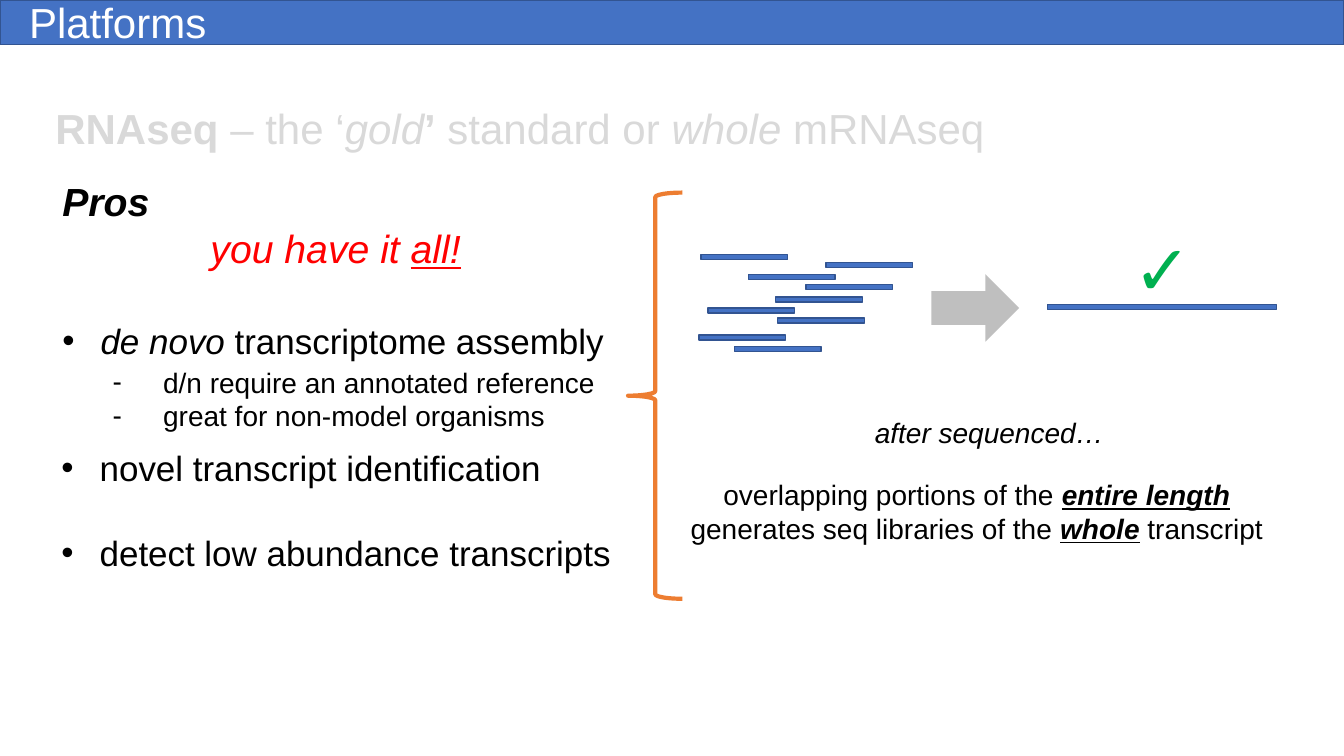
from lxml.etree import SubElement
from pptx import Presentation
from pptx.dml.color import RGBColor
from pptx.enum.shapes import MSO_SHAPE
from pptx.enum.text import MSO_AUTO_SIZE, PP_ALIGN
from pptx.oxml.ns import qn
from pptx.util import Inches, Pt

THEME = {
    "font": "Arial",
    "blue": "4472C4", "blue_edge": "325491", "orange": "ED7D31",
    "arrow": "BFBFBF", "faded": "D9D9D9", "white": "FFFFFF",
    "black": "000000", "red": "FF0000", "green": "00B050",
    "title": 30, "lead": 28, "point": 25, "detail": 20, "check": 50,
}

deck = Presentation()
deck.slide_width, deck.slide_height = Inches(13.333), Inches(7.5)
page = deck.slides.add_slide(deck.slide_layouts[6])
COLUMN, ROW = deck.slide_width / 100, deck.slide_height / 100


def add_figure(kind, left, top, width, height, fill=None, line=None, weight=1):
    """Draw a preset shape placed in hundredths of the slide."""
    figure = page.shapes.add_shape(kind, int(left * COLUMN), int(top * ROW),
                                   int(width * COLUMN), int(height * ROW))
    figure.shadow.inherit = False
    if fill:
        figure.fill.solid()
        figure.fill.fore_color.rgb = RGBColor.from_string(THEME[fill])
    else:
        figure.fill.background()
    if line:
        figure.line.color.rgb = RGBColor.from_string(THEME[line])
        figure.line.width = Pt(weight)
    else:
        figure.line.fill.background()
    return figure


def add_text(left, top, width, height, paragraphs, wrap=True):
    """Place paragraphs of (size, colour, spans, options); a span is (text, b/i/u flags)."""
    box = page.shapes.add_textbox(int(left * COLUMN), int(top * ROW),
                                  int(width * COLUMN), int(height * ROW))
    frame = box.text_frame
    frame.word_wrap = wrap
    frame.auto_size = MSO_AUTO_SIZE.SHAPE_TO_FIT_TEXT
    for number, (size, colour, spans, options) in enumerate(paragraphs):
        para = frame.add_paragraph() if number else frame.paragraphs[0]
        if "align" in options:
            para.alignment = options["align"]
        if "before" in options:
            para.space_before = Pt(options["before"])
        if "bullet" in options:
            mark, margin, hanging, para.level = options["bullet"]
            properties = para._p.get_or_add_pPr()
            properties.set("marL", str(Inches(margin)))
            properties.set("indent", str(-Inches(hanging)))
            SubElement(properties, qn("a:buFont"), typeface=THEME["font"])
            SubElement(properties, qn("a:buChar"), char=mark)
        para.font.name = THEME["font"]
        para.font.size = Pt(THEME[size])
        para.font.color.rgb = RGBColor.from_string(THEME[colour])
        for text, flags in spans:
            span = para.add_run()
            span.text = text
            if "b" in flags:
                span.font.bold = True
            if "i" in flags:
                span.font.italic = True
            if "u" in flags:
                span.font.underline = True


CENTRE = {"align": PP_ALIGN.CENTER}
POINT = {"bullet": ("•", 0.38, 0.38, 0)}
DETAIL = {"bullet": ("-", 1, 0.5, 1)}

# Heading
add_text(3.38, 12.93, 79.58, 8.13, [
    ("title", "faded", [("RNAseq ", "b"), ("– the ‘", ""), ("gold", "i"), ("’", "b"),
                        (" standard or ", ""), ("whole ", "i"), ("mRNAseq", "")], {}),
])

# Overlapping reads assembled into one transcript
add_figure(MSO_SHAPE.RIGHT_ARROW, 69.3, 36.27, 6.53, 8.93, "arrow")
READ_WIDTH, STRAND_HEIGHT = 6.45, 0.67
reads = [(52.01, 44.33), (57.86, 42.07), (54.64, 45.8), (52.69, 40.73), (57.71, 39.27),
         (59.96, 37.67), (55.69, 36.33), (61.46, 34.73), (52.16, 33.67)]
strands = [(left, top, READ_WIDTH) for left, top in reads] + [(77.93, 40.27, 17.03)]
for left, top, width in strands:
    add_figure(MSO_SHAPE.RECTANGLE, left, top, width, STRAND_HEIGHT, "blue", "blue_edge")
add_text(83.63, 29.2, 5.48, 12.53, [("check", "green", [("✓", "b")], {})], wrap=False)

brace = add_figure(MSO_SHAPE.RIGHT_BRACE, 46.73, 25.47, 4.05, 53.73, line="orange", weight=3)
brace.rotation = 180

# Advantages
add_text(3.9, 22.8, 42.15, 34.8, [
    ("lead", "black", [("Pros", "bi")], {}),
    ("lead", "red", [("you have it ", "i"), ("all!", "iu")], CENTRE),
    ("point", "black", [("de novo ", "i"), ("transcriptome assembly", "")],
     {**POINT, "before": 34}),
    ("detail", "black", [("d/n require an annotated reference", "")], {**DETAIL, "before": 3}),
    ("detail", "black", [("great for non-model organisms", "")], DETAIL),
])
add_text(3.83, 58.4, 43.73, 18.13, [
    ("point", "black", [("novel transcript identification", "")], POINT),
    ("point", "black", [("detect low abundance transcripts", "")], {**POINT, "before": 31}),
])

# Explanation
add_text(64.35, 54.27, 19.28, 5.87, [("detail", "black", [("after sequenced…", "i")], {})])
add_text(48.15, 62.53, 49.05, 10.27, [
    ("detail", "black", [("overlapping portions of the ", ""), ("entire length", "biu")], CENTRE),
    ("detail", "black", [("generates seq libraries of the ", ""), ("whole", "biu"),
                         (" transcript", "")], CENTRE),
])

# Banner
add_figure(MSO_SHAPE.RECTANGLE, 0, 0, 100, 5.87, "blue", "blue_edge")
add_text(1.43, -1.07, 36.45, 8.13, [("title", "white", [("Platforms", "")], {})])

deck.save("out.pptx")
